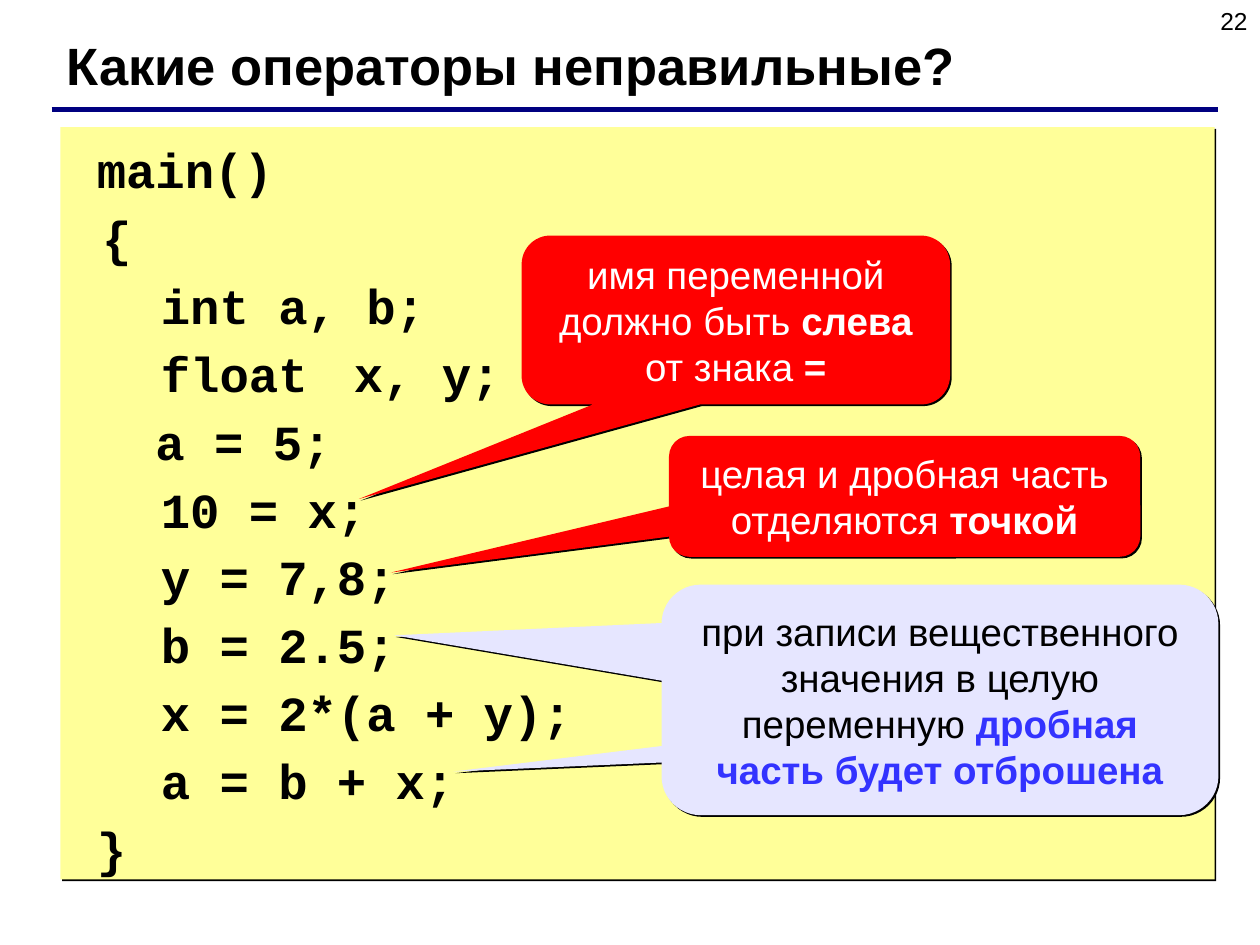
from lxml import etree
from pptx import Presentation, util as u
from pptx.dml.color import RGBColor
from pptx.enum import shapes, text
from pptx.oxml.ns import qn

BLACK = RGBColor(0, 0, 0)
WHITE = RGBColor(255, 255, 255)
NAVY = RGBColor(0, 0, 0x80)
YELLOW = RGBColor(0xFF, 0xFF, 0x99)
RED = RGBColor(0xFF, 0, 0)
LAVENDER = RGBColor(0xE6, 0xE6, 0xFF)
BLUE = RGBColor(0x33, 0x33, 0xFF)

PAGE_NUMBER = "22"
TITLE = "Какие операторы неправильные?"
CODE_SIZE = 28
CODE_MARGIN = 0.19
# (starts at the margin, [(text, size), ...])
CODE = [
    (True, [("main()", CODE_SIZE)]),
    (False, [(" {", CODE_SIZE)]),
    (False, [("   int a, b;", CODE_SIZE)]),
    (False, [("   float ", CODE_SIZE), (" ", 16), ("x, y;", CODE_SIZE)]),
    (True, [("  a = 5;", CODE_SIZE)]),
    (False, [("   10 = x;", CODE_SIZE)]),
    (False, [("   y = 7,8;", CODE_SIZE)]),
    (False, [("   b = 2.5;", CODE_SIZE)]),
    (False, [("   x = 2*(a + y);", CODE_SIZE)]),
    (False, [("   a = b + x;", CODE_SIZE)]),
    (True, [("}", CODE_SIZE)]),
]
CODE_AREA = (0.48, 1.01, 9.16, 5.97)

# (area, pointer tip as offset from the centre in widths and heights, fill, runs)
TRUNCATION_POINTER = ((5.27, 5.61, 2.14, 0.53), (-1.28, 0.47), LAVENDER, [])
CALLOUTS = [
    ((4.14, 1.87, 3.4, 1.34), (-0.88, 1.06), RED, [
        ("имя переменной должно быть ", WHITE, False),
        ("слева", WHITE, True),
        (" от знака ", WHITE, False),
        ("=", WHITE, True)]),
    ((5.31, 3.46, 3.74, 0.96), (-1.09, 0.63), RED, [
        ("целая и дробная часть отделяются ", WHITE, False),
        ("точкой", WHITE, True)]),
    ((5.25, 4.64, 4.42, 1.83), (-0.98, -0.28), LAVENDER, [
        ("при записи вещественного значения в целую переменную ", BLACK, False),
        ("дробная часть будет отброшена", BLUE, True)]),
]


def add_span(para, words, size, color=BLACK, bold=False, font="Arial"):
    span = para.add_run()
    span.text = words
    span.font.name = font
    span.font.size = u.Pt(size)
    span.font.bold = bold
    span.font.color.rgb = color


def set_leading(para, size):
    para.line_spacing = u.Pt(round(size * 1.2, 1))


def add_panel(page, kind, area, fill):
    """Add a filled shape without outline and with a thin hard shadow."""
    panel = page.shapes.add_shape(kind, *map(u.Inches, area))
    panel.fill.solid()
    panel.fill.fore_color.rgb = fill
    panel.line.fill.background()
    panel.shadow.inherit = False
    effects = panel._element.spPr.find(qn("a:effectLst"))
    shadow = etree.SubElement(effects, qn("a:outerShdw"), blurRad="0",
                              dist=str(u.Pt(1.4)), dir=str(45 * 60000),
                              algn="ctr", rotWithShape="0")
    etree.SubElement(shadow, qn("a:srgbClr"), val=str(BLACK))
    return panel


def add_label(page, area, words, size, bold, align):
    box = page.shapes.add_textbox(*map(u.Inches, area))
    box.text_frame.word_wrap = True
    para = box.text_frame.paragraphs[0]
    para.alignment = align
    set_leading(para, size)
    add_span(para, words, size, bold=bold)


def add_code(page):
    frame = add_panel(page, shapes.MSO_SHAPE.RECTANGLE, CODE_AREA, YELLOW).text_frame
    frame.vertical_anchor = text.MSO_ANCHOR.TOP
    frame.margin_top = u.Inches(0.1)
    for number, (at_margin, spans) in enumerate(CODE):
        para = frame.add_paragraph() if number else frame.paragraphs[0]
        para.alignment = text.PP_ALIGN.LEFT
        set_leading(para, CODE_SIZE)
        if number:
            para.space_before = u.Pt(5.2)
        if at_margin:
            para._p.get_or_add_pPr().set("marL", str(u.Inches(CODE_MARGIN)))
        for words, size in spans:
            add_span(para, words, size, bold=True, font="Courier New")


def add_callout(page, area, tip, fill, spans):
    callout = add_panel(page, shapes.MSO_SHAPE.ROUNDED_RECTANGULAR_CALLOUT, area, fill)
    for index, value in enumerate((*tip, 0.17)):
        callout.adjustments[index] = value
    if not spans:
        return
    callout.text_frame.vertical_anchor = text.MSO_ANCHOR.MIDDLE
    para = callout.text_frame.paragraphs[0]
    para.alignment = text.PP_ALIGN.CENTER
    set_leading(para, 22)
    for words, color, bold in spans:
        add_span(para, words, 22, color, bold)


def add_rule(page):
    rule = page.shapes.add_connector(
        shapes.MSO_CONNECTOR.STRAIGHT, *map(u.Inches, (0.41, 0.87, 9.67, 0.87)))
    rule.line.color.rgb = NAVY
    rule.line.width = u.Pt(3)
    etree.SubElement(rule._element.spPr, qn("a:effectLst"))


def main():
    deck = Presentation()
    deck.slide_width, deck.slide_height = u.Inches(10), u.Inches(7.5)
    page = deck.slides.add_slide(deck.slide_layouts[6])
    add_label(page, (7.67, 0, 2.33, 0.52), PAGE_NUMBER, 14, False, text.PP_ALIGN.RIGHT)
    add_code(page)
    add_callout(page, *TRUNCATION_POINTER)
    add_rule(page)
    add_label(page, (0.43, 0.21, 8.9, 0.6), TITLE, 30, True, text.PP_ALIGN.LEFT)
    for callout in CALLOUTS:
        add_callout(page, *callout)
    deck.save("out.pptx")


if __name__ == "__main__":
    main()
